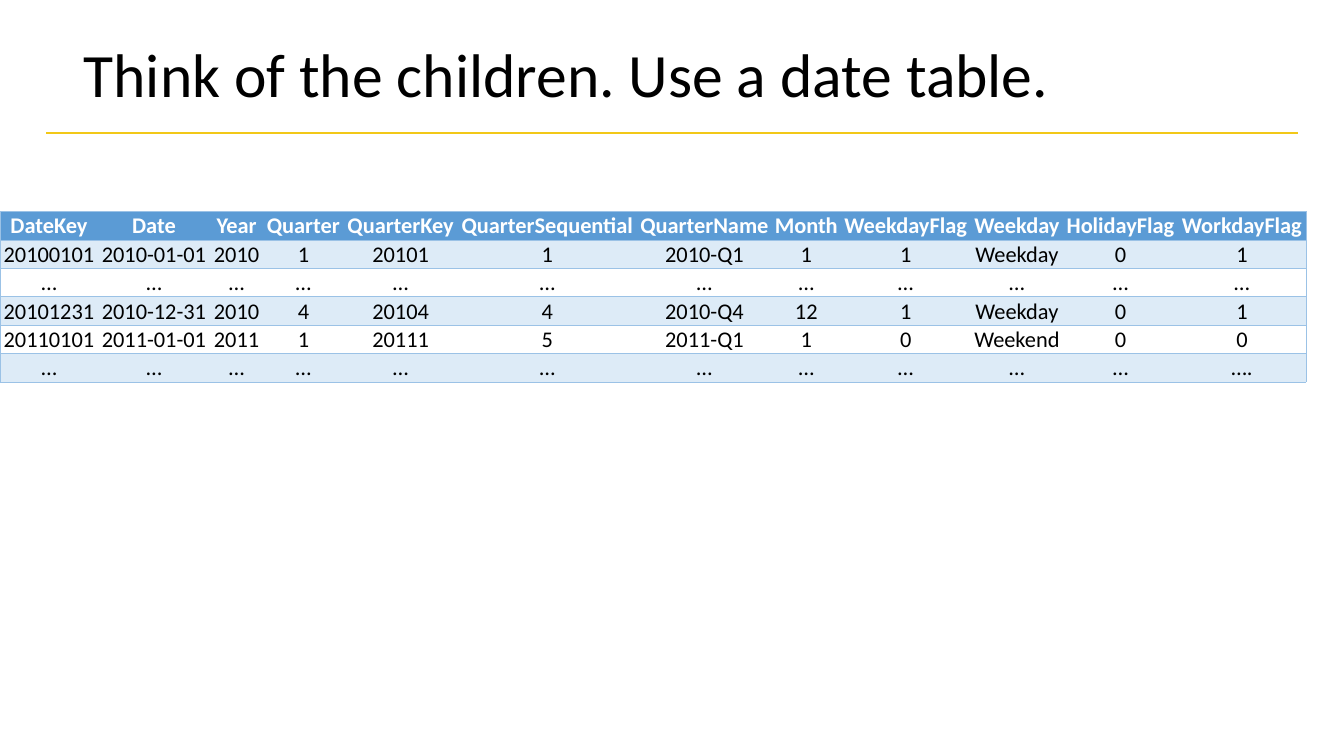
from dataclasses import dataclass

import lxml.etree
import pptx
import pptx.dml.color
import pptx.enum.shapes
import pptx.enum.text
import pptx.oxml.ns
import pptx.util

Pt = pptx.util.Pt
ALIGN = pptx.enum.text.PP_ALIGN
ANCHOR = pptx.enum.text.MSO_ANCHOR


@dataclass(frozen=True)
class Theme:
    font: str = "Calibri"
    title_size: float = 44
    table_size: float = 16
    black: str = "000000"
    white: str = "FFFFFF"
    gold: str = "F2C818"
    header: str = "5B9BD5"
    band: str = "DDEBF7"
    border: str = "9BC2E6"


THEME = Theme()
NO_STYLE = "{2D5ABB26-0587-4C30-8999-92F81FD0307C}"

COLUMNS = [
    ("DateKey", 70), ("Date", 80), ("Year", 38), ("Quarter", 57.5),
    ("QuarterKey", 81.5), ("QuarterSequential", 128), ("QuarterName", 96.5),
    ("Month", 49), ("WeekdayFlag", 93), ("Weekday", 66),
    ("HolidayFlag", 82), ("WorkdayFlag", 91.5),
]
DATES = [
    ["20100101", "2010-01-01", "2010", "1", "20101", "1", "2010-Q1", "1", "1", "Weekday", "0", "1"],
    ["…"] * 12,
    ["20101231", "2010-12-31", "2010", "4", "20104", "4", "2010-Q4", "12", "1", "Weekday", "0", "1"],
    ["20110101", "2011-01-01", "2011", "1", "20111", "5", "2011-Q1", "1", "0", "Weekend", "0", "0"],
    ["…"] * 11 + ["…."],
]


def rgb(color):
    return pptx.dml.color.RGBColor.from_string(color)


def sub(parent, tag, **attrs):
    return lxml.etree.SubElement(parent, pptx.oxml.ns.qn(tag), attrs)


def write(tf, text, size, color, align, bold=False, spacing=1.0):
    p = tf.paragraphs[0]
    p.alignment, p.line_spacing = align, spacing
    r = p.add_run()
    r.text = text
    r.font.name, r.font.size, r.font.bold = THEME.font, Pt(size), bold
    r.font.color.rgb = rgb(color)


def set_borders(cell, sides):
    """Draw the sides named in a string such as "LTB"; call before filling the cell."""
    tc_pr = cell._tc.get_or_add_tcPr()
    for side in "LRTB":
        if side in sides:
            ln = sub(tc_pr, f"a:ln{side}", w=str(Pt(0.5)))
            sub(sub(ln, "a:solidFill"), "a:srgbClr", val=THEME.border)
        else:
            sub(sub(tc_pr, f"a:ln{side}", w="0"), "a:noFill")


def add_title(s, text, left, top, width, height):
    sp = s.shapes.title
    sp.left, sp.top, sp.width, sp.height = Pt(left), Pt(top), Pt(width), Pt(height)
    tf = sp.text_frame
    tf.word_wrap = True
    tf.auto_size = pptx.enum.text.MSO_AUTO_SIZE.NONE
    tf.vertical_anchor = ANCHOR.MIDDLE
    write(tf, text, THEME.title_size, THEME.black, ALIGN.LEFT, spacing=0.9)


def add_rule(s, left, top, width):
    line = s.shapes.add_connector(
        pptx.enum.shapes.MSO_CONNECTOR.STRAIGHT,
        Pt(left), Pt(top), Pt(left + width), Pt(top))
    line.line.color.rgb = rgb(THEME.gold)
    line.line.width = Pt(2)
    sub(line._element.spPr, "a:effectLst")


def fill_cell(cell, text, fill, color, bold, sides):
    set_borders(cell, sides)
    cell.fill.solid()
    cell.fill.fore_color.rgb = rgb(fill)
    cell.margin_left = cell.margin_right = cell.margin_top = Pt(0.72)
    cell.margin_bottom = 0
    cell.vertical_anchor = ANCHOR.BOTTOM
    write(cell.text_frame, text, THEME.table_size, color, ALIGN.CENTER, bold)


def add_date_table(s, left, top, width, height):
    rows = [[name for name, _ in COLUMNS]] + DATES
    last = len(COLUMNS) - 1
    table = s.shapes.add_table(
        len(rows), len(COLUMNS), Pt(left), Pt(top), Pt(width), Pt(height)).table
    table.horz_banding = False
    table._tbl.tblPr.find(pptx.oxml.ns.qn("a:tableStyleId")).text = NO_STYLE

    total = sum(share for _, share in COLUMNS)
    for column, (_, share) in zip(table.columns, COLUMNS):
        column.width = Pt(width * share / total)

    for i, row in enumerate(rows):
        is_header = i == 0
        fill = THEME.header if is_header else THEME.band if i % 2 else THEME.white
        color = THEME.white if is_header else THEME.black
        for j, text in enumerate(row):
            sides = "TB" + ("L" if j == 0 else "R" if j == last else "")
            fill_cell(table.cell(i, j), text, fill, color, is_header, sides)


def main():
    prs = pptx.Presentation()
    prs.slide_width, prs.slide_height = Pt(960), Pt(540)
    s = prs.slides.add_slide(prs.slide_layouts.get_by_name("Title Only"))
    add_rule(s, 33, 95, 894)
    add_title(s, "Think of the children. Use a date table.", 52.5, 16, 856, 79)
    add_date_table(s, 0, 151, 933, 119.5)
    prs.save("out.pptx")


if __name__ == "__main__":
    main()
